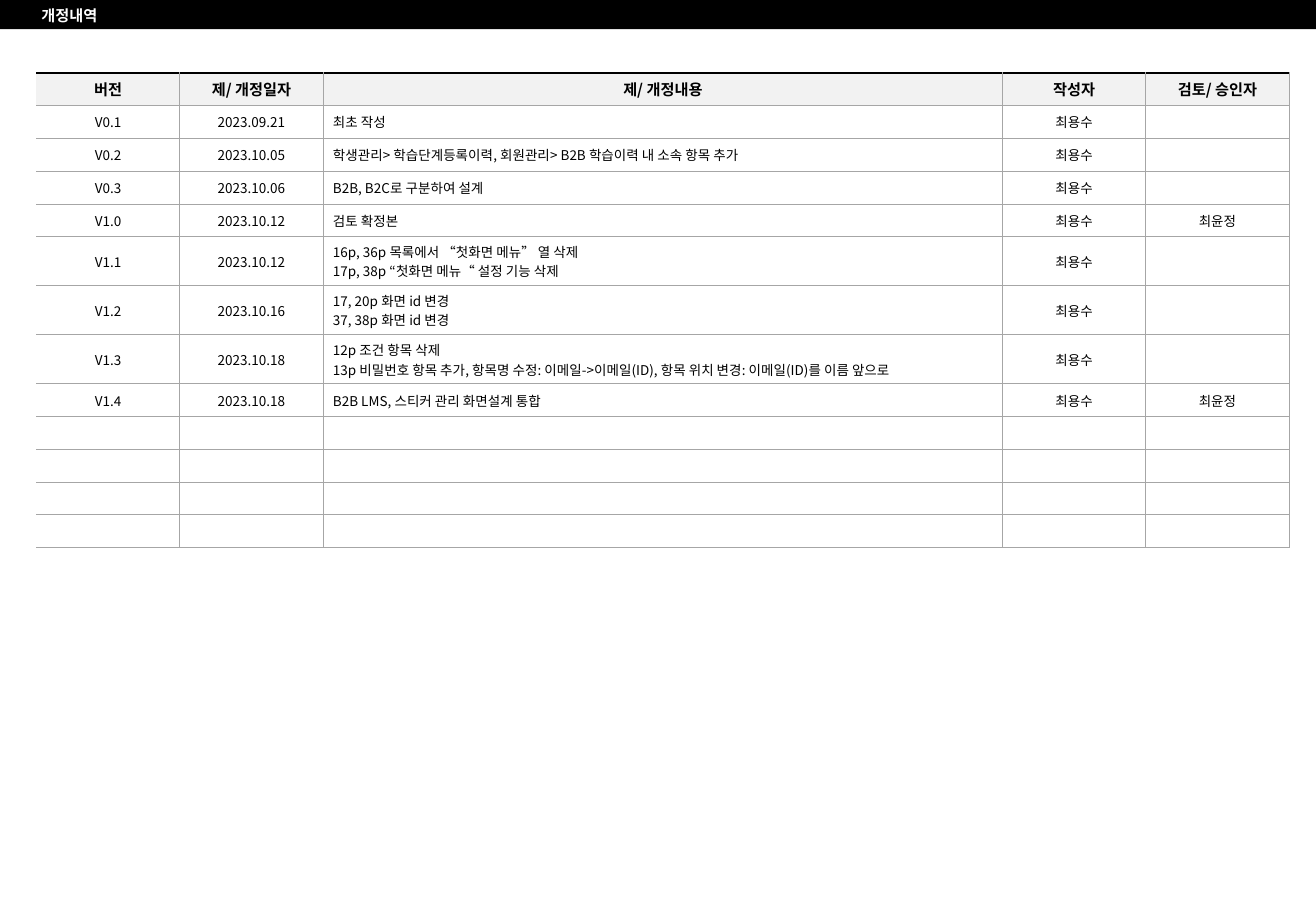
import pptx
import pptx.util
import pptx.dml.color
import pptx.enum.shapes
import pptx.enum.text
import pptx.oxml.ns
import lxml.etree

FONT = "Noto Sans CJK KR"
COLORS = {"black": "000000", "white": "FFFFFF", "header": "F2F2F2", "grid": "A6A6A6"}
INCH = pptx.util.Inches
ALIGN = pptx.enum.text.PP_ALIGN
ANCHOR = pptx.enum.text.MSO_ANCHOR
qn = pptx.oxml.ns.qn


def write(frame, text, size=8, bold=False, color="black", align=ALIGN.CENTER, after=0):
    for index, line in enumerate(text.split("\n")):
        paragraph = frame.paragraphs[0] if index == 0 else frame.add_paragraph()
        paragraph.alignment = align
        paragraph.space_after = pptx.util.Pt(after)
        if not line:
            lxml.etree.SubElement(paragraph._p, qn("a:endParaRPr"), sz=str(size * 100))
            continue
        run = paragraph.add_run()
        run.text = line
        run.font.size = pptx.util.Pt(size)
        run.font.bold = bold
        run.font.name = FONT
        run.font.color.rgb = pptx.dml.color.RGBColor.from_string(COLORS[color])
        lxml.etree.SubElement(run.font._element, qn("a:ea"), typeface=FONT)


def border(cell, side, color, width):
    line = lxml.etree.SubElement(
        cell._tc.get_or_add_tcPr(), qn("a:ln" + side), w=str(pptx.util.Pt(width)))
    if color is None:
        lxml.etree.SubElement(line, qn("a:noFill"))
    else:
        fill = lxml.etree.SubElement(line, qn("a:solidFill"))
        lxml.etree.SubElement(fill, qn("a:srgbClr"), val=COLORS[color])


revisions = [
    ("버전", "제/ 개정일자", "제/ 개정내용", "작성자", "검토/ 승인자"),
    ("V0.1", "2023.09.21", "최초 작성", "최용수", ""),
    ("V0.2", "2023.10.05", "학생관리> 학습단계등록이력, 회원관리> B2B 학습이력 내 소속 항목 추가", "최용수", ""),
    ("V0.3", "2023.10.06", "B2B, B2C로 구분하여 설계", "최용수", ""),
    ("V1.0", "2023.10.12", "검토 확정본", "최용수", "최윤정"),
    ("V1.1", "2023.10.12",
     "16p, 36p 목록에서 “첫화면 메뉴” 열 삭제\n17p, 38p “첫화면 메뉴“ 설정 기능 삭제", "최용수", ""),
    ("V1.2", "2023.10.16", "17, 20p 화면 id 변경\n37, 38p 화면 id 변경", "최용수", ""),
    ("V1.3", "2023.10.18",
     "12p 조건 항목 삭제\n13p 비밀번호 항목 추가, 항목명 수정: 이메일->이메일(ID), "
     "항목 위치 변경: 이메일(ID)를 이름 앞으로", "최용수", ""),
    ("V1.4", "2023.10.18", "B2B LMS, 스티커 관리 화면설계 통합", "최용수", "최윤정"),
] + [("",) * 5] * 4

column_widths = [1.18, 1.18, 5.59, 1.18, 1.18]
row_heights = [0.4 if "\n" in revision[2] else 0.27 for revision in revisions]

deck = pptx.Presentation()
deck.slide_width, deck.slide_height = INCH(10.83), INCH(7.5)
slide = deck.slides.add_slide(deck.slide_layouts[5])

header_bar = slide.shapes.add_shape(
    pptx.enum.shapes.MSO_SHAPE.RECTANGLE, 0, 0, deck.slide_width, INCH(0.24))
header_bar.shadow.inherit = False
header_bar.fill.solid()
header_bar.fill.fore_color.rgb = pptx.dml.color.RGBColor.from_string(COLORS["black"])
header_bar.line.fill.background()

history = slide.shapes.add_table(
    len(revisions), len(column_widths), INCH(0.3), INCH(0.6),
    INCH(sum(column_widths)), INCH(sum(row_heights))).table
history.first_row = False
history.horz_banding = False
for column, width in zip(history.columns, column_widths):
    column.width = INCH(width)
for row, height in zip(history.rows, row_heights):
    row.height = INCH(height)

for r, revision in enumerate(revisions):
    heading = r == 0
    for c, text in enumerate(revision):
        cell = history.cell(r, c)
        cell.vertical_anchor = ANCHOR.MIDDLE
        cell.margin_left = cell.margin_right = INCH(0.08)
        cell.margin_top = cell.margin_bottom = INCH(0.04)
        border(cell, "L", "grid" if c else None, 0.5)
        border(cell, "R", "grid", 0.5)
        border(cell, "T", "black" if heading else "grid", 1 if heading else 0.5)
        border(cell, "B", "grid", 0.5)
        if heading:
            cell.fill.solid()
            cell.fill.fore_color.rgb = pptx.dml.color.RGBColor.from_string(COLORS["header"])
        else:
            cell.fill.background()
        write(cell.text_frame, text, size=9 if heading else 8, bold=heading,
              align=ALIGN.LEFT if c == 2 and not heading else ALIGN.CENTER)

title = slide.shapes.title
title.left, title.top, title.width, title.height = INCH(0.22), INCH(-0.03), INCH(0.74), INCH(0.31)
title_frame = title.text_frame
title_frame.word_wrap = False
title_frame.auto_size = pptx.enum.text.MSO_AUTO_SIZE.NONE
title_frame.vertical_anchor = ANCHOR.TOP
title_frame.margin_left = title_frame.margin_right = INCH(0.12)
title_frame.margin_top = title_frame.margin_bottom = INCH(0.08)
write(title_frame, "개정내역", size=9, bold=True, color="white", align=ALIGN.LEFT, after=5.5)
title.element.getparent().append(title.element)

deck.save("out.pptx")
